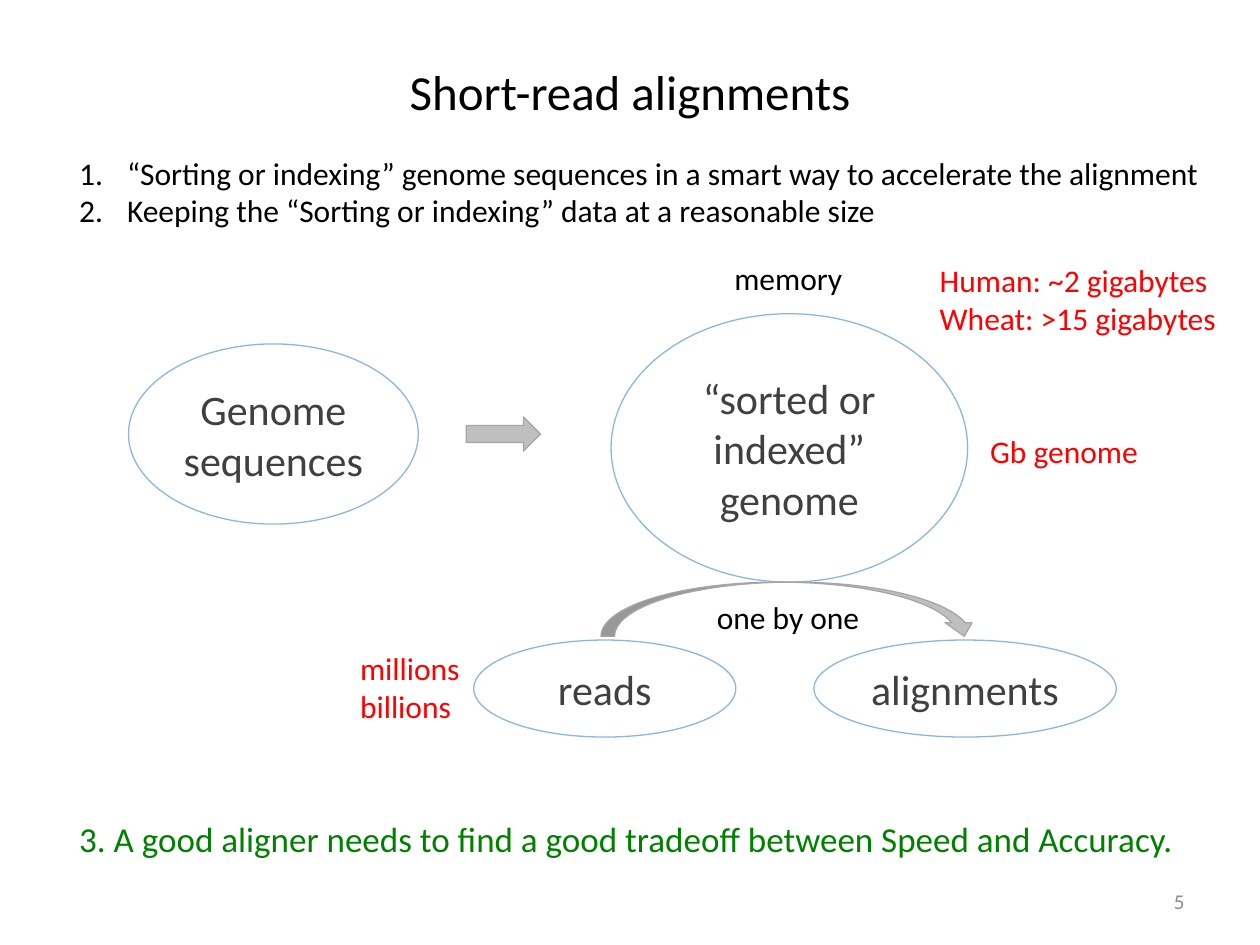
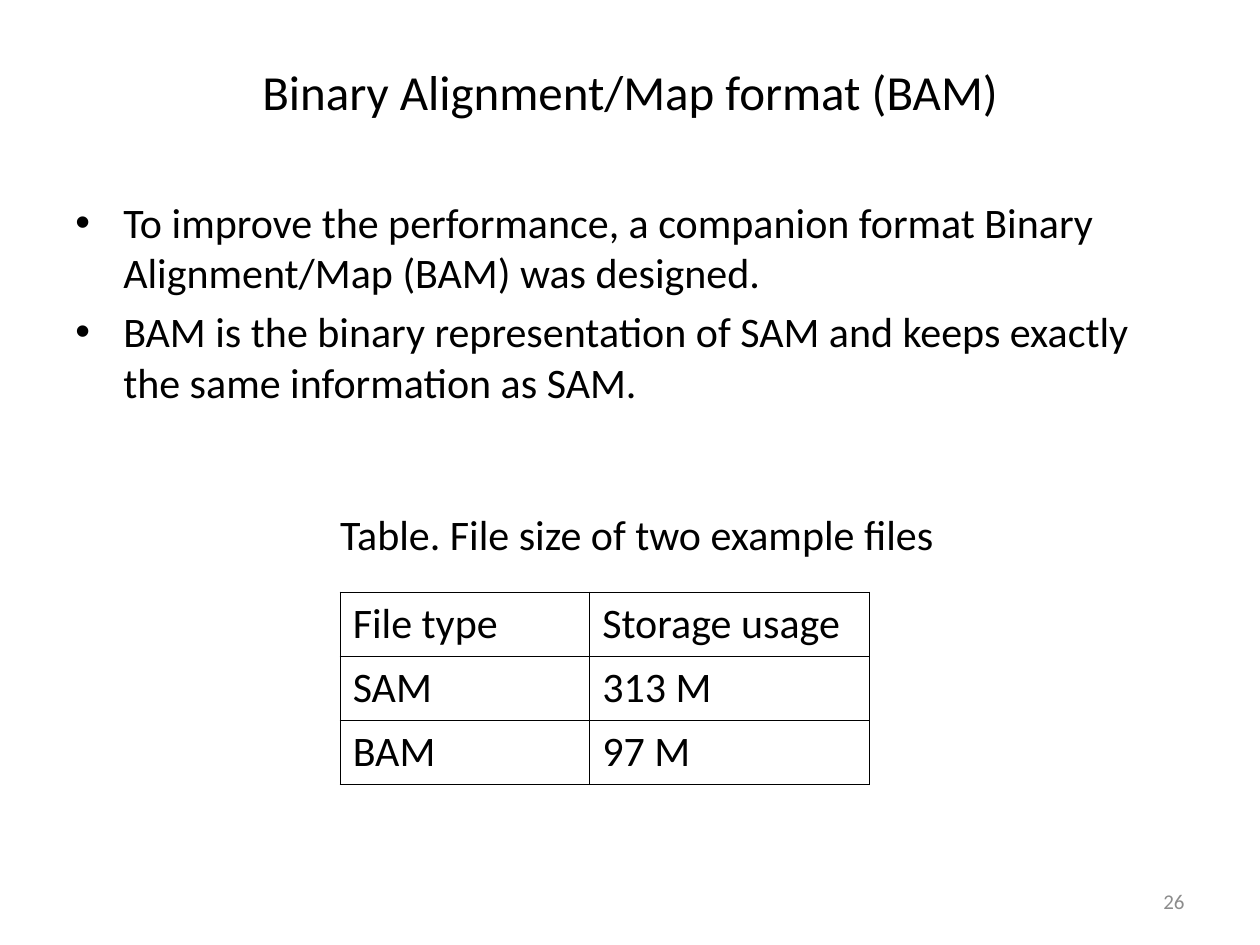
from typing import NamedTuple, Optional

from lxml.etree import SubElement
from pptx import Presentation
from pptx.dml.color import RGBColor
from pptx.enum.shapes import MSO_SHAPE
from pptx.enum.text import MSO_ANCHOR, PP_ALIGN
from pptx.oxml import parse_xml
from pptx.oxml.ns import nsdecls, qn
from pptx.util import Inches, Pt

FONT = "Calibri"
BLACK = "000000"
RED = "FF0000"
GREEN = "008000"
NODE_TEXT = "404040"
NODE_LINE = "8EB4E3"
ARROW_FILL = "BFBFBF"
ARROW_LINE = "A6A6A6"
NUMBER_GREY = "8C8C8C"
HANGING = Inches(0.38)
LINE_WIDTH = Pt(0.75)


class Area(NamedTuple):
    left: float
    top: float
    width: float
    height: float

    def lengths(self) -> list:
        return [Inches(value) for value in self]


class Style(NamedTuple):
    size: float = 18
    color: str = BLACK
    align: Optional[PP_ALIGN] = None
    bullet: Optional[str] = None
    gap: float = 0


class Label(NamedTuple):
    area: Area
    lines: list
    style: Style = Style()
    wrap: bool = False
    anchor: MSO_ANCHOR = MSO_ANCHOR.TOP


class Node(NamedTuple):
    area: Area
    text: str


class Arrow(NamedTuple):
    area: Area
    preset: MSO_SHAPE


TITLE_AREA = Area(0.5, 0.3, 9, 0.85)
NUMBER_AREA = Area(7.17, 6.95, 2.33, 0.4)
TITLE_STYLE = Style(28, align=PP_ALIGN.CENTER)
NODE_STYLE = Style(24, NODE_TEXT, PP_ALIGN.CENTER)
NUMBER_STYLE = Style(12, NUMBER_GREY, PP_ALIGN.RIGHT)
NOTE_STYLE = Style(color=RED)

NODES = [
    Node(Area(1.02, 2.73, 2.3, 1.43), "Genome sequences"),
    Node(Area(4.85, 2.49, 2.83, 2.13), "“sorted or indexed” genome"),
    Node(Area(3.76, 5.08, 2.08, 0.77), "reads"),
    Node(Area(6.46, 5.08, 2.4, 0.77), "alignments"),
]
ARROWS = [
    Arrow(Area(4.77, 4.62, 2.99, 0.43), MSO_SHAPE.CURVED_DOWN_ARROW),
    Arrow(Area(3.7, 3.31, 0.59, 0.27), MSO_SHAPE.RIGHT_ARROW),
]
ALIGNMENT_LABELS = [
    Label(Area(5.59, 4.7, 1.35, 0.4), ["one by one"]),
    Label(Area(5.73, 2.01, 1.07, 0.4), ["memory"]),
    Label(
        Area(0.53, 1.17, 9.22, 0.71),
        [
            "“Sorting or indexing” genome sequences in a smart way to accelerate the alignment",
            "Keeping the “Sorting or indexing” data at a reasonable size",
        ],
        Style(bullet="number"),
        wrap=True,
    ),
    Label(
        Area(7.36, 2.02, 2.51, 0.71),
        ["Human: ~2 gigabytes", "Wheat: >15 gigabytes"],
        NOTE_STYLE,
        wrap=True,
    ),
    Label(
        Area(0.53, 6.44, 9.04, 0.44),
        ["3. A good aligner needs to find a good tradeoff between Speed and Accuracy."],
        Style(20, GREEN),
        wrap=True,
    ),
    Label(Area(2.76, 5.1, 1, 0.71), ["millions", "billions"], NOTE_STYLE),
    Label(Area(7.76, 3.38, 1.39, 0.4), ["Gb genome"], NOTE_STYLE),
]
BAM_LABELS = [
    Label(
        Area(0.5, 1.51, 8.88, 1.87),
        [
            "To improve the performance, a companion format Binary Alignment/Map (BAM) was designed.",
            "BAM is the binary representation of SAM and keeps exactly the same information as SAM.",
        ],
        Style(24, bullet="dot", gap=5),
        wrap=True,
    ),
    Label(
        Area(2.6, 3.99, 5.01, 0.5),
        ["Table. File size of two example files"],
        Style(24),
    ),
]
FILE_SIZES = [("File type", "Storage usage"), ("SAM", "313 M"), ("BAM", "97 M")]
COLUMN_WIDTHS = [1.98, 2.22]
ROW_HEIGHT = 0.51


def rgb(color: str) -> RGBColor:
    return RGBColor.from_string(color)


def add_bullet(para, kind: str) -> None:
    properties = para._p.get_or_add_pPr()
    properties.set("marL", str(HANGING))
    properties.set("indent", str(-HANGING))
    if kind == "number":
        SubElement(properties, qn("a:buFont"), typeface="+mj-lt")
        SubElement(properties, qn("a:buAutoNum"), type="arabicPeriod")
    else:
        SubElement(properties, qn("a:buFont"), typeface="Arial")
        SubElement(properties, qn("a:buChar"), char="•")


def write(frame, lines: list, style: Style) -> None:
    for index, line in enumerate(lines):
        para = frame.add_paragraph() if index else frame.paragraphs[0]
        if style.bullet:
            add_bullet(para, style.bullet)
        if style.align is not None:
            para.alignment = style.align
        if index and style.gap:
            para.space_before = Pt(style.gap)
        span = para.add_run()
        span.text = line
        span.font.name = FONT
        span.font.size = Pt(style.size)
        span.font.color.rgb = rgb(style.color)


def add_label(page, label: Label) -> None:
    frame = page.shapes.add_textbox(*label.area.lengths()).text_frame
    frame.word_wrap = label.wrap
    frame.vertical_anchor = label.anchor
    write(frame, label.lines, label.style)


def add_outlined(page, preset: MSO_SHAPE, area: Area, line: str, fill: Optional[str] = None):
    shape = page.shapes.add_shape(preset, *area.lengths())
    shape.shadow.inherit = False
    shape.line.color.rgb = rgb(line)
    shape.line.width = LINE_WIDTH
    if fill:
        shape.fill.solid()
        shape.fill.fore_color.rgb = rgb(fill)
    else:
        shape.fill.background()
    return shape


def add_node(page, node: Node) -> None:
    shape = add_outlined(page, MSO_SHAPE.OVAL, node.area, NODE_LINE)
    shape.text_frame.word_wrap = True
    shape.text_frame.vertical_anchor = MSO_ANCHOR.MIDDLE
    write(shape.text_frame, [node.text], NODE_STYLE)


def add_borders(cell) -> None:
    properties = cell._tc.get_or_add_tcPr()
    for index, side in enumerate(("lnL", "lnR", "lnT", "lnB")):
        border = parse_xml(
            f'<a:{side} {nsdecls("a")} w="{LINE_WIDTH}"><a:solidFill>'
            f'<a:srgbClr val="{BLACK}"/></a:solidFill></a:{side}>'
        )
        properties.insert(index, border)


def add_size_table(page) -> None:
    area = Area(2.7, 4.7, sum(COLUMN_WIDTHS), ROW_HEIGHT * len(FILE_SIZES))
    table = page.shapes.add_table(
        len(FILE_SIZES), len(COLUMN_WIDTHS), *area.lengths()
    ).table
    table.first_row = False
    table.horz_banding = False
    for column, width in zip(table.columns, COLUMN_WIDTHS):
        column.width = Inches(width)
    for row, values in zip(table.rows, FILE_SIZES):
        row.height = Inches(ROW_HEIGHT)
        for cell, value in zip(row.cells, values):
            cell.fill.background()
            add_borders(cell)
            write(cell.text_frame, [value], Style(24))


def add_page(deck, title: str, number: int):
    page = deck.slides.add_slide(deck.slide_layouts[5])
    heading = page.shapes.title
    heading.left, heading.top, heading.width, heading.height = TITLE_AREA.lengths()
    heading.text_frame.vertical_anchor = MSO_ANCHOR.MIDDLE
    write(heading.text_frame, [title], TITLE_STYLE)
    add_label(
        page,
        Label(NUMBER_AREA, [str(number)], NUMBER_STYLE, True, MSO_ANCHOR.MIDDLE),
    )
    return page


def build_alignment_page(deck) -> None:
    page = add_page(deck, "Short-read alignments", 5)
    for node in NODES:
        add_node(page, node)
    for arrow in ARROWS:
        add_outlined(page, arrow.preset, arrow.area, ARROW_LINE, ARROW_FILL)
    for label in ALIGNMENT_LABELS:
        add_label(page, label)


def build_bam_page(deck) -> None:
    page = add_page(deck, "Binary Alignment/Map format (BAM)", 26)
    for label in BAM_LABELS:
        add_label(page, label)
    add_size_table(page)


def main() -> None:
    deck = Presentation()
    deck.slide_width = Inches(10)
    deck.slide_height = Inches(7.5)
    build_alignment_page(deck)
    build_bam_page(deck)
    deck.save("out.pptx")


if __name__ == "__main__":
    main()
